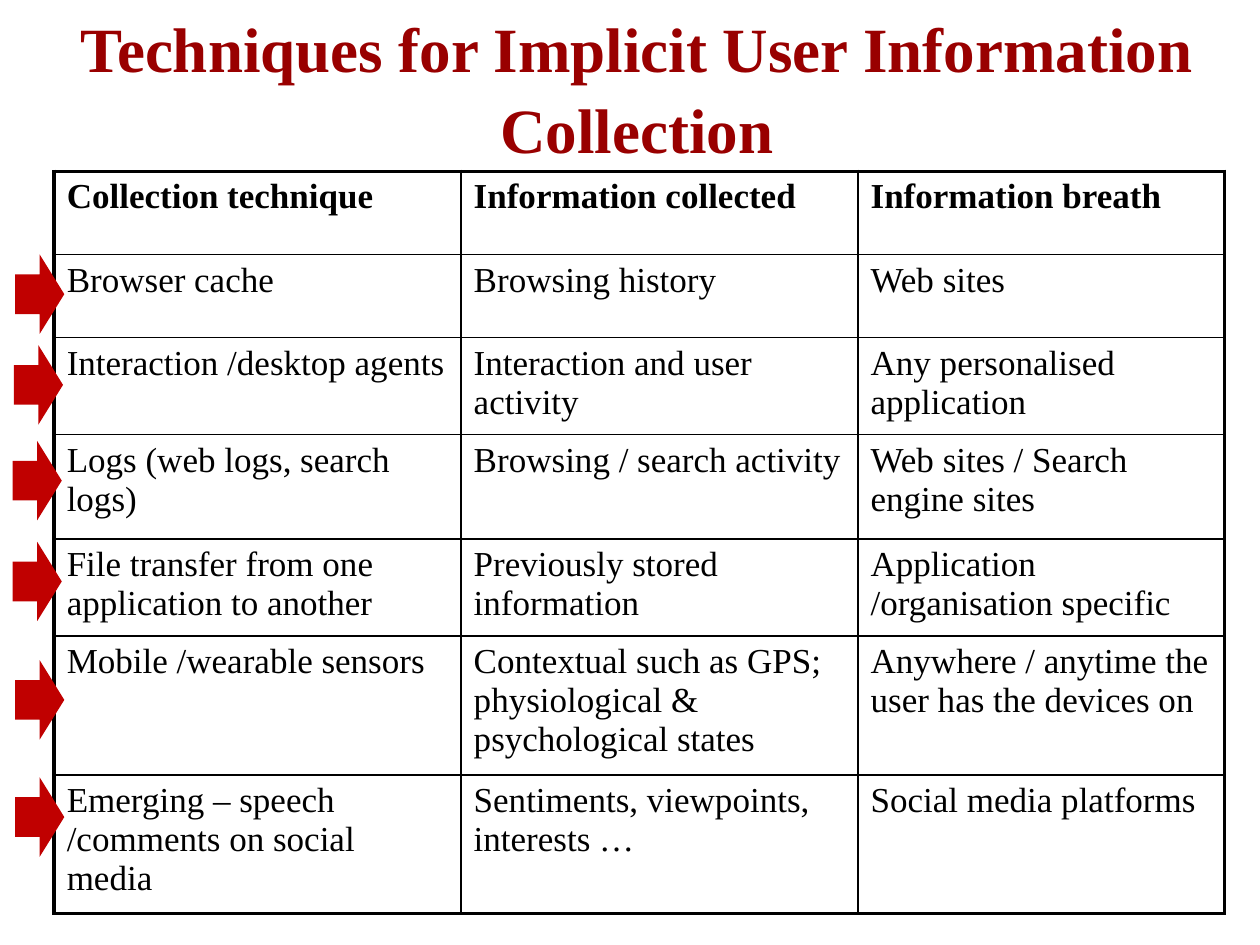
"""Builds a slide with a table of implicit user information collection techniques."""
from dataclasses import dataclass

from lxml.etree import SubElement
from pptx import Presentation
from pptx.dml.color import RGBColor
from pptx.enum.shapes import MSO_SHAPE as Preset
from pptx.enum.text import MSO_ANCHOR as Anchor, PP_ALIGN as Align
from pptx.oxml.ns import qn
from pptx.util import Inches, Pt

BLACK = RGBColor(0x00, 0x00, 0x00)
HEADING_RED = RGBColor(0x99, 0x00, 0x00)
ARROW_RED = RGBColor(0xC0, 0x00, 0x00)
FONT = "Times New Roman"
TITLE_FONT = {"name": FONT, "size": Pt(36), "bold": True}
HEADER_FONT = {"name": FONT, "size": Pt(20), "bold": True}
BODY_FONT = {**HEADER_FONT, "bold": False}
OUTER, INNER = Pt(2.25), Pt(1)
COLUMN_WIDTHS = (3.23, 3.15, 2.91)


@dataclass(frozen=True)
class Row:
    height: float
    texts: tuple[str, str, str]


@dataclass(frozen=True)
class Arrow:
    left: float
    top: float


ROWS = (
    Row(0.66, ("Collection technique", "Information collected", "Information breath")),
    Row(0.66, ("Browser cache", "Browsing history", "Web sites")),
    Row(0.77, ("Interaction /desktop agents", "Interaction and user activity",
               "Any personalised application")),
    Row(0.83, ("Logs (web logs, search logs)", "Browsing / search activity",
               "Web sites / Search engine sites")),
    Row(0.77, ("File transfer from one application to another",
               "Previously stored information", "Application /organisation specific")),
    Row(1.1, ("Mobile /wearable sensors",
              "Contextual such as GPS; physiological & psychological states",
              "Anywhere / anytime the user has the devices on")),
    Row(0.77, ("Emerging – speech /comments on social media",
               "Sentiments, viewpoints, interests …", "Social media platforms")),
)
ARROWS = (Arrow(0.12, 2.02), Arrow(0.11, 2.74), Arrow(0.1, 3.5),
          Arrow(0.1, 4.3), Arrow(0.12, 5.24), Arrow(0.12, 6.17))


def write(frame, text: str, font_values: dict, color: RGBColor, align: Align) -> None:
    paragraph = frame.paragraphs[0]
    paragraph.alignment = align
    run = paragraph.add_run()
    run.text = text
    for name, value in font_values.items():
        setattr(run.font, name, value)
    run.font.color.rgb = color


def draw_title(slide, text: str) -> None:
    heading = slide.shapes.add_textbox(Inches(0.12), Inches(0.05), Inches(9.87), Inches(1.25))
    frame = heading.text_frame
    frame.word_wrap = True
    frame.vertical_anchor = Anchor.MIDDLE
    write(frame, text, TITLE_FONT, HEADING_RED, Align.CENTER)
    frame.paragraphs[0].line_spacing = 1.07


def set_borders(cell, widths: dict[str, int]) -> None:
    properties = cell._tc.get_or_add_tcPr()
    for position, (side, width) in enumerate(widths.items()):
        line = SubElement(properties, qn(f"a:{side}"), w=str(int(width)))
        fill = SubElement(line, qn("a:solidFill"))
        SubElement(fill, qn("a:srgbClr"), val=str(BLACK))
        properties.insert(position, line)


def draw_table(slide, rows: tuple[Row, ...]) -> None:
    last_row, last_column = len(rows) - 1, len(COLUMN_WIDTHS) - 1
    table = slide.shapes.add_table(
        len(rows), len(COLUMN_WIDTHS), Inches(0.43), Inches(1.36),
        Inches(sum(COLUMN_WIDTHS)), Inches(sum(row.height for row in rows))).table
    table.first_row = table.horz_banding = False
    for column, width in zip(table.columns, COLUMN_WIDTHS):
        column.width = Inches(width)
    for r, row in enumerate(rows):
        table.rows[r].height = Inches(row.height)
        for c, text in enumerate(row.texts):
            cell = table.cell(r, c)
            cell.fill.background()
            write(cell.text_frame, text, BODY_FONT if r else HEADER_FONT, BLACK, Align.LEFT)
            set_borders(cell, {
                "lnL": INNER if c else OUTER,
                "lnR": OUTER if c == last_column else INNER,
                "lnT": INNER if r else OUTER,
                "lnB": OUTER if r == last_row else INNER,
            })


def draw_arrow(slide, arrow: Arrow) -> None:
    pointer = slide.shapes.add_shape(
        Preset.RIGHT_ARROW, Inches(arrow.left), Inches(arrow.top), Inches(0.39), Inches(0.63))
    pointer.shadow.inherit = False
    pointer.fill.solid()
    pointer.fill.fore_color.rgb = ARROW_RED
    pointer.line.fill.background()


def main() -> None:
    deck = Presentation()
    deck.slide_width, deck.slide_height = Inches(10), Inches(7.5)
    slide = deck.slides.add_slide(deck.slide_layouts[6])
    draw_title(slide, "Techniques for Implicit User Information Collection")
    draw_table(slide, ROWS)
    for arrow in ARROWS:
        draw_arrow(slide, arrow)
    deck.save("out.pptx")


if __name__ == "__main__":
    main()
